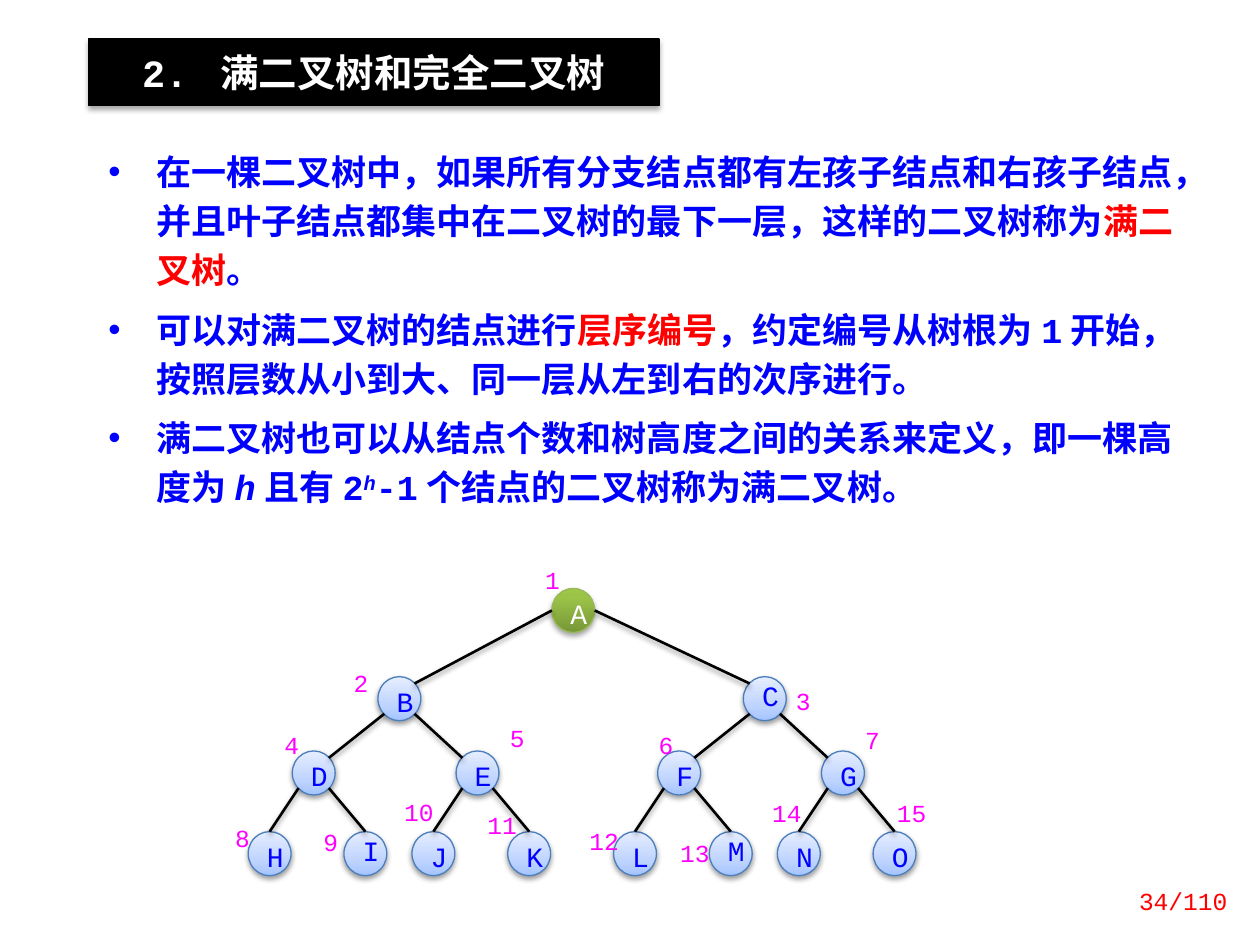
from lxml import etree
from pptx import Presentation
from pptx.dml.color import RGBColor
from pptx.enum.shapes import MSO_CONNECTOR, MSO_SHAPE
from pptx.enum.text import MSO_ANCHOR, MSO_AUTO_SIZE, PP_ALIGN
from pptx.oxml.ns import qn
from pptx.util import Inches, Pt

RECTANGLE, OVAL = MSO_SHAPE.RECTANGLE, MSO_SHAPE.OVAL
STRAIGHT = MSO_CONNECTOR.STRAIGHT
TOP, MIDDLE = MSO_ANCHOR.TOP, MSO_ANCHOR.MIDDLE
LEFT, CENTER, RIGHT = PP_ALIGN.LEFT, PP_ALIGN.CENTER, PP_ALIGN.RIGHT
GROW = MSO_AUTO_SIZE.SHAPE_TO_FIT_TEXT

FONT = "Courier New"
BLACK = RGBColor(0x00, 0x00, 0x00)
WHITE = RGBColor(0xFF, 0xFF, 0xFF)
BLUE = RGBColor(0x00, 0x00, 0xFF)
RED = RGBColor(0xFF, 0x00, 0x00)
MAGENTA = RGBColor(0xFF, 0x00, 0xFF)
ROOT_LINE = RGBColor(0x98, 0xB9, 0x55)
NODE_LINE = RGBColor(0x4B, 0x7E, 0xBC)
ROOT_STOPS = [(0, "779737"), (80, "9BC348"), (100, "9DC746")]
NODE_STOPS = [(0, "A4C4FF"), (35, "BFD4FF"), (100, "E6EEFF")]

# Each paragraph is a list of (text, style)
DEFINITIONS = [
    [("在一棵二叉树中，如果所有分支结点都有左孩子结点和右孩子结点，"
      "并且叶子结点都集中在二叉树的最下一层，这样的二叉树称为", ""),
     ("满二叉树", "red"), ("。", "")],
    [("可以对满二叉树的结点进行", ""), ("层序编号", "red"),
     ("，约定编号从树根为1开始，按照层数从小到大、同一层从左到右的次序进行。", "")],
    [("满二叉树也可以从结点个数和树高度之间的关系来定义，即一棵高度为", ""),
     ("h", "italic"), ("且有2", ""), ("h", "power"),
     ("-1个结点的二叉树称为满二叉树。", "")],
]

# Tree geometry: top of each level, and child offsets from the parent
NODE_WIDTH, NODE_HEIGHT = 0.34, 0.35
DIAGONAL = 0.12
ROOT_LEFT = 4.38
LEVEL_TOPS = [4.67, 5.37, 5.96, 6.6]
CHILD_OFFSETS = [(-1.38, 1.52), (-0.68, 0.62), (-0.35, 0.41)]
NODE_NAMES = "ABCDEFGHIJKLMNO"
TIGHT_NODES = "CIM"
TIGHT, LOOSE = 0.8, Pt(22)

# Left and top of the labels 1 to 15
LABEL_PLACES = [
    (4.18, 4.53), (2.66, 5.35), (6.17, 5.37), (2.11, 5.84), (3.9, 5.78),
    (5.08, 5.84), (6.72, 5.8), (1.72, 6.58), (2.42, 6.61), (3.12, 6.37),
    (3.78, 6.47), (4.59, 6.6), (5.31, 6.58), (6.04, 6.38), (7.03, 6.38),
]
LOOSE_LABELS = (3, 13)


def add_shadow(shape, opacity, distance):
    effects = etree.SubElement(shape._element.spPr, qn("a:effectLst"))
    shadow = etree.SubElement(
        effects, qn("a:outerShdw"), blurRad=str(Pt(3.1)),
        dist=str(Pt(distance)), dir="5400000", rotWithShape="0")
    color = etree.SubElement(shadow, qn("a:srgbClr"), val="000000")
    etree.SubElement(color, qn("a:alpha"), val=str(opacity * 1000))


def set_gradient(shape, stops):
    shape.fill.gradient()
    shape.fill.gradient_angle = 90
    stop_list = shape._element.spPr.find(".//" + qn("a:gsLst"))
    for old_stop in list(stop_list):
        stop_list.remove(old_stop)
    for position, color in stops:
        stop = etree.SubElement(stop_list, qn("a:gs"), pos=str(position * 1000))
        etree.SubElement(stop, qn("a:srgbClr"), val=color)


def set_frame(shape, anchor, margins=None, grow=False):
    frame = shape.text_frame
    frame.word_wrap = True
    frame.vertical_anchor = anchor
    if margins:
        (frame.margin_left, frame.margin_top, frame.margin_right,
         frame.margin_bottom) = [Inches(margin) for margin in margins]
    if grow:
        frame.auto_size = GROW
    return frame


def style_paragraph(paragraph, size, color, alignment, bold=False):
    paragraph.alignment = alignment
    font = paragraph.font
    font.name, font.size, font.bold = FONT, Pt(size), bold
    font.color.rgb = color


def write_line(frame, text, size, color, alignment=CENTER, bold=False):
    paragraph = frame.paragraphs[0]
    paragraph.text = text
    style_paragraph(paragraph, size, color, alignment, bold)
    return paragraph


def add_half_line_before(paragraph):
    paragraph.space_before = Pt(0)
    spacing = paragraph._p.pPr.find(qn("a:spcBef"))
    spacing.remove(spacing[0])
    etree.SubElement(spacing, qn("a:spcPct"), val="50000")


def add_box(slide, kind, left, top, width, height):
    return slide.shapes.add_shape(
        kind, Inches(left), Inches(top), Inches(width), Inches(height))


def add_text_box(slide, left, top, width, height):
    return slide.shapes.add_textbox(
        Inches(left), Inches(top), Inches(width), Inches(height))


def add_title(slide):
    title = add_box(slide, RECTANGLE, 0.7, 0.31, 4.53, 0.53)
    title.fill.solid()
    title.fill.fore_color.rgb = BLACK
    title.line.color.rgb = BLACK
    title.line.width = Pt(0.75)
    add_shadow(title, 35, 1.8)
    frame = set_frame(title, TOP, (0.1, 0.08, 0.1, 0.08), grow=True)
    add_half_line_before(write_line(frame, "2. 满二叉树和完全二叉树", 22, WHITE, bold=True))


def add_definitions(slide):
    panel = add_box(slide, RECTANGLE, 0.7, 1.02, 8.75, 3.12)
    panel.shadow.inherit = False
    panel.fill.solid()
    panel.fill.fore_color.rgb = WHITE
    panel.line.fill.background()
    frame = set_frame(panel, TOP, (0.16, 0.12, 0.1, 0.12), grow=True)
    for index, pieces in enumerate(DEFINITIONS):
        paragraph = frame.add_paragraph() if index else frame.paragraphs[0]
        style_paragraph(paragraph, 20, BLUE, LEFT, bold=True)
        paragraph.line_spacing, paragraph.space_before = Pt(28), Pt(6)
        properties = paragraph._p.get_or_add_pPr()
        properties.set("marL", str(Inches(0.38)))
        properties.set("indent", str(-Inches(0.38)))
        bullet = etree.Element(qn("a:buChar"), char="•")
        bullet_font = etree.Element(qn("a:buFont"), typeface="Arial")
        properties.find(qn("a:spcBef")).addnext(bullet_font)
        bullet_font.addnext(bullet)
        for text, style in pieces:
            run = paragraph.add_run()
            run.text = text
            if style == "red":
                run.font.color.rgb = RED
            elif style:
                run.font.italic = True
            if style == "power":
                run._r.get_or_add_rPr().set("baseline", "30000")


def place_nodes():
    lefts = [ROOT_LEFT]
    for number in range(2, len(NODE_NAMES) + 1):
        level = number.bit_length() - 1
        lefts.append(lefts[number // 2 - 1] + CHILD_OFFSETS[level - 1][number % 2])
    return [(left, LEVEL_TOPS[number.bit_length() - 1])
            for number, left in enumerate(lefts, 1)]


def add_node(slide, name, left, top):
    is_root = name == NODE_NAMES[0]
    node = add_box(slide, OVAL, left, top, NODE_WIDTH, NODE_HEIGHT)
    set_gradient(node, ROOT_STOPS if is_root else NODE_STOPS)
    node.line.color.rgb = ROOT_LINE if is_root else NODE_LINE
    node.line.width = Pt(0.75)
    add_shadow(node, *((35, 1.8) if is_root else (38, 1.6)))
    paragraph = write_line(set_frame(node, MIDDLE), name, 16, WHITE if is_root else BLUE)
    paragraph.line_spacing = TIGHT if name in TIGHT_NODES else LOOSE
    add_half_line_before(paragraph)


def add_edge(slide, parent, child, level, side):
    """Join parent and child; side is -1 for a left child, 1 for a right one."""
    (start_x, start_y), (end_x, end_y) = [
        (left + NODE_WIDTH / 2, top + NODE_HEIGHT / 2) for left, top in (parent, child)]
    if level == 1:
        start_x += side * NODE_WIDTH / 2
    else:
        start_x, start_y = start_x + side * DIAGONAL, start_y + DIAGONAL
    if level == len(LEVEL_TOPS) - 1:
        end_y -= NODE_HEIGHT / 2
    else:
        end_x, end_y = end_x - side * DIAGONAL, end_y - DIAGONAL
    edge = slide.shapes.add_connector(
        STRAIGHT, Inches(start_x), Inches(start_y), Inches(end_x), Inches(end_y))
    edge.line.color.rgb = BLACK
    edge.line.width = Pt(1.5)
    add_shadow(edge, 38, 1.6)


def add_label(slide, number, left, top):
    loose = number in LOOSE_LABELS
    label = add_text_box(slide, left, top, 0.41, 0.31 if loose else 0.19)
    frame = set_frame(label, TOP, (0, 0, 0, 0), grow=True)
    paragraph = write_line(frame, str(number), 14, MAGENTA)
    paragraph.line_spacing = LOOSE if loose else TIGHT
    add_half_line_before(paragraph)


def add_tree(slide):
    places = place_nodes()
    for name, place in zip(NODE_NAMES, places):
        add_node(slide, name, *place)
    for number in range(2, len(places) + 1):
        add_edge(slide, places[number // 2 - 1], places[number - 1],
                 number.bit_length() - 1, 1 if number % 2 else -1)
    for number, place in enumerate(LABEL_PLACES, 1):
        add_label(slide, number, *place)


def main():
    presentation = Presentation()
    presentation.slide_width, presentation.slide_height = Inches(10), Inches(7.5)
    slide = presentation.slides.add_slide(presentation.slide_layouts[6])
    add_title(slide)
    add_definitions(slide)
    add_tree(slide)
    # Page number
    page = set_frame(add_text_box(slide, 8.7, 6.95, 1.14, 0.4), MIDDLE)
    write_line(page, "34/110", 14, RED, RIGHT)
    presentation.save("out.pptx")


if __name__ == "__main__":
    main()
